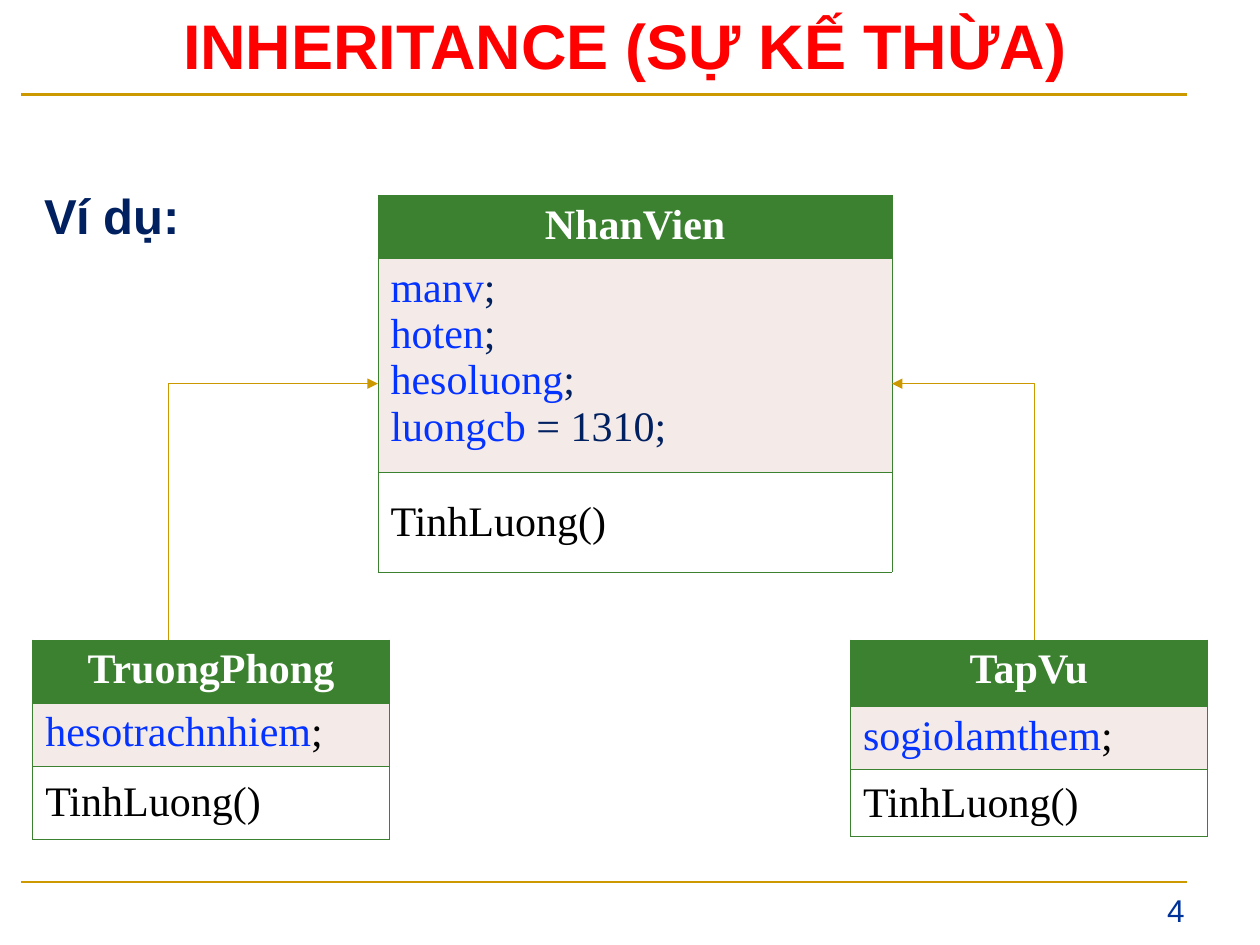
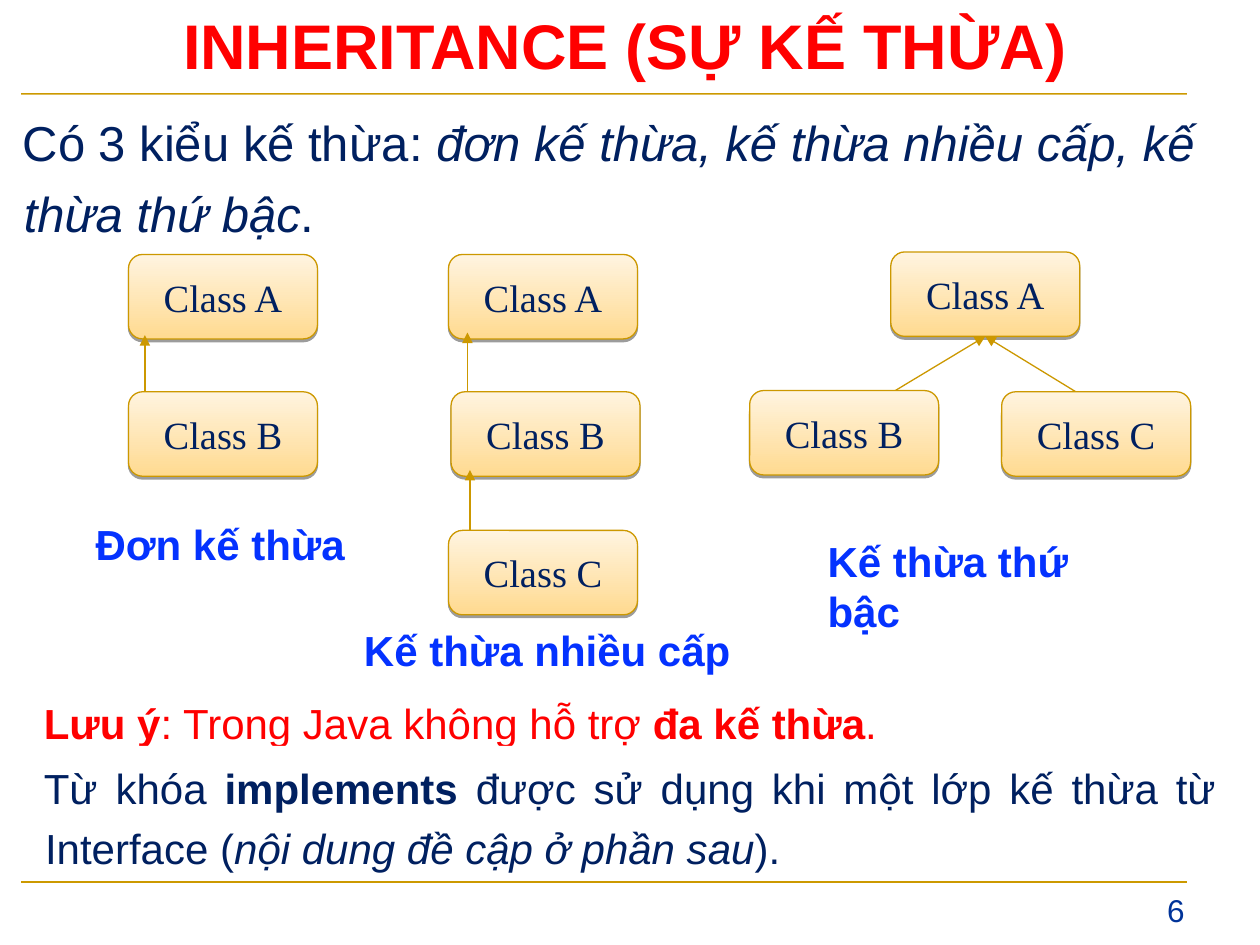
from lxml import etree
from pptx import Presentation
from pptx.dml.color import RGBColor
from pptx.enum.shapes import MSO_CONNECTOR, MSO_SHAPE
from pptx.enum.text import MSO_ANCHOR, MSO_AUTO_SIZE, PP_ALIGN
from pptx.oxml.ns import qn
from pptx.util import Inches, Pt

STRAIGHT, ELBOW = MSO_CONNECTOR.STRAIGHT, MSO_CONNECTOR.ELBOW
ROUNDED = MSO_SHAPE.ROUNDED_RECTANGLE
TOP, MIDDLE = MSO_ANCHOR.TOP, MSO_ANCHOR.MIDDLE
NO_FIT = MSO_AUTO_SIZE.NONE
LEFT, CENTER, RIGHT, JUSTIFY = (PP_ALIGN.LEFT, PP_ALIGN.CENTER,
                                PP_ALIGN.RIGHT, PP_ALIGN.JUSTIFY)

WHITE = RGBColor(0xFF, 0xFF, 0xFF)
BLACK = RGBColor(0, 0, 0)
RED = RGBColor(0xFF, 0, 0)
NAVY = RGBColor(0x00, 0x20, 0x60)
BLUE = RGBColor(0x04, 0x32, 0xFF)
NUMBER_BLUE = RGBColor(0x00, 0x33, 0x99)
BAND_GOLD = RGBColor(0xCC, 0x99, 0x00)
GOLD = RGBColor(0xCC, 0x98, 0x00)
BOX_DARK = RGBColor(0xFF, 0xDA, 0x90)
BOX_LIGHT = RGBColor(0xFF, 0xF4, 0xE0)
GREEN = RGBColor(0x3B, 0x81, 0x2F)
PINK = RGBColor(0xF4, 0xEA, 0xE8)

SANS, SERIF = "Arial", "Times New Roman"
TITLE = "INHERITANCE (SỰ KẾ THỪA)"
BOX_W, BOX_H = 1.5, 0.67


def sub(parent, tag, **attrs):
    """Append a child element and return it."""
    return etree.SubElement(parent, qn(tag), attrs)


def inches(*values):
    return [Inches(v) for v in values]


class Deck:
    def __init__(self):
        self.prs = Presentation()
        self.prs.slide_width, self.prs.slide_height = inches(10, 7.5)
        self.slide = None

    def new_slide(self, number):
        self.slide = self.prs.slides.add_slide(self.prs.slide_layouts[1])
        self.line((0.17, 7), (9.42, 7), BAND_GOLD, 1.5)
        self.line((0.17, 0.75), (9.42, 0.75), BAND_GOLD, 2.25)
        self.text((7.67, 7.02, 1.83, 0.4), [(str(number), NUMBER_BLUE)],
                  18, align=RIGHT)
        tf = self.placeholder(0, (0, 0, 9.92, 0.7)).text_frame
        self.add_runs(tf.paragraphs[0], [(TITLE, RED)], 36, bold=True, align=CENTER)

    def placeholder(self, idx, box):
        """Place a template placeholder in front of what is drawn so far."""
        sp = self.slide.placeholders[idx]
        sp.left, sp.top, sp.width, sp.height = inches(*box)
        self.slide.shapes._spTree.append(sp._element)
        sp.text_frame.vertical_anchor = TOP
        sp.text_frame.auto_size = NO_FIT
        return sp

    def add_runs(self, p, runs, size, font=SANS, bold=None, align=LEFT,
                 indent=None, after=0):
        """Fill a paragraph with (text, colour[, "b" or "i"]) runs."""
        p.alignment = align
        p.space_before, p.space_after = Pt(0), Pt(after)
        if indent is not None:
            p.line_spacing = 1.2
            pPr = p._p.get_or_add_pPr()
            pPr.set("marL", str(Inches(indent)))
            pPr.set("indent", str(-Inches(indent)))
            sub(pPr, "a:buNone")
        p.font.name, p.font.size, p.font.bold = font, Pt(size), bold
        for text, color, *marks in runs:
            r = p.add_run()
            r.text = text
            r.font.color.rgb = color
            if "b" in marks:
                r.font.bold = True
            if "i" in marks:
                r.font.italic = True

    def body(self, box, runs, **style):
        sp = self.placeholder(1, box)
        sp.fill.solid()
        sp.fill.fore_color.rgb = WHITE
        self.add_runs(sp.text_frame.paragraphs[0], runs, 28, align=JUSTIFY, **style)

    def text(self, box, runs, size, wrap=True, fill=None, **style):
        sp = self.slide.shapes.add_textbox(*inches(*box))
        sp.text_frame.word_wrap = wrap
        if fill is not None:
            sp.fill.solid()
            sp.fill.fore_color.rgb = fill
        self.add_runs(sp.text_frame.paragraphs[0], runs, size, **style)

    def caption(self, left, top, width, words):
        self.text((left, top, width, 0.5), [(words, BLUE)], 24,
                  wrap=False, bold=True)

    def line(self, start, end, color=GOLD, width=0.75, kind=STRAIGHT, arrow=None):
        """Draw a connector; arrow is "a:headEnd" (start) or "a:tailEnd" (end)."""
        cx = self.slide.shapes.add_connector(kind, *inches(*start, *end))
        cx.line.color.rgb = color
        cx.line.width = Pt(width)
        spPr = cx._element.spPr
        if kind == ELBOW:
            spPr.find(qn("a:prstGeom")).set("prst", "bentConnector2")
        if arrow:
            sub(spPr.find(qn("a:ln")), arrow, type="triangle")
        sub(spPr, "a:effectLst")
        return cx

    def arrow(self, start, end):
        return self.line(start, end, arrow="a:tailEnd")

    def class_box(self, left, top, letter):
        sp = self.slide.shapes.add_shape(
            ROUNDED, *inches(left, top, BOX_W, BOX_H))
        sp.fill.gradient()
        sp.fill.gradient_angle = 90
        stops = zip(sp.fill.gradient_stops, (BOX_DARK, BOX_LIGHT), (0, 1))
        for stop, color, position in stops:
            stop.color.rgb = color
            stop.position = position
        sp.line.color.rgb = GOLD
        sp.line.width = Pt(0.75)
        sp.shadow.inherit = False
        effects = sp._element.spPr.find(qn("a:effectLst"))
        shadow = sub(effects, "a:outerShdw", blurRad="0", dist=str(Pt(1.6)),
                     dir="5400000", rotWithShape="0")
        sub(sub(shadow, "a:srgbClr", val="000000"), "a:alpha", val="38000")
        sp.text_frame.vertical_anchor = MIDDLE
        self.add_runs(sp.text_frame.paragraphs[0], [(f"Class {letter}", NAVY)],
                      22, SERIF, align=CENTER)
        return sp

    def class_table(self, left, top, width, heights, name, fields, ink=BLACK):
        """Draw a class as name, fields and method; fields are (name, rest)."""
        frame = self.slide.shapes.add_table(
            3, 1, *inches(left, top, width, sum(heights)))
        table = frame.table
        table.first_row = table.horz_banding = False
        rows = [([[(name, WHITE)]], GREEN),
                ([[(field, BLUE), (rest, ink)] for field, rest in fields], PINK),
                ([[("TinhLuong()", BLACK)]], WHITE)]
        for i, (lines, fill) in enumerate(rows):
            table.rows[i].height = Inches(heights[i])
            cell = table.cell(i, 0)
            self.borders(cell)
            cell.fill.solid()
            cell.fill.fore_color.rgb = fill
            cell.vertical_anchor = MIDDLE if i == 2 else TOP
            tf = cell.text_frame
            for j, runs in enumerate(lines):
                p = tf.add_paragraph() if j else tf.paragraphs[0]
                self.add_runs(p, runs, 24, SERIF, bold=i == 0,
                              align=LEFT if i else CENTER)

    def borders(self, cell):
        tcPr = cell._tc.get_or_add_tcPr()
        for side in "LRTB":
            ln = sub(tcPr, f"a:ln{side}", w=str(Pt(0.45)))
            sub(sub(ln, "a:solidFill"), "a:srgbClr", val=str(GREEN))


def example_slide(deck):
    deck.new_slide(4)
    deck.body((0.25, 1.33, 9.5, 0.66), [("Ví dụ:", NAVY)],
              bold=True, indent=0.38, after=12)
    left, top, width, heights = 3, 1.55, 4.08, (0.5, 1.7, 0.79)
    deck.class_table(left, top, width, heights, "NhanVien",
                     [("manv", ";"), ("hoten", ";"), ("hesoluong", ";"),
                      ("luongcb", " = 1310;")], NAVY)
    middle = top + sum(heights) / 2
    child_top = 5.08
    children = [
        (0.26, (0.5, 0.5, 0.58), "TruongPhong", "hesotrachnhiem", left, 1.34),
        (6.75, (0.53, 0.5, 0.53), "TapVu", "sogiolamthem", left + width, 8.21),
    ]
    for x, rows, name, field, parent_x, child_x in children:
        deck.class_table(x, child_top, 2.83, rows, name, [(field, ";")])
        deck.line((parent_x, middle), (child_x, child_top),
                  kind=ELBOW, arrow="a:headEnd")


def kinds_slide(deck):
    deck.new_slide(6)
    deck.body((0.08, 0.75, 9.5, 1.22),
              [("Có 3 kiểu kế thừa: ", NAVY),
               ("đơn kế thừa, kế thừa nhiều cấp, kế thừa thứ bậc", NAVY, "i"),
               (".", NAVY)], indent=0.01)

    deck.class_box(1.02, 2.02, "A")
    deck.arrow((1.15, 3.33), (1.15, 2.66))
    deck.class_box(1.02, 3.11, "B")
    deck.caption(0.66, 4.07, 2.18, "Đơn kế thừa")

    deck.class_box(3.56, 2.02, "A")
    deck.arrow((3.71, 3.31), (3.71, 2.64))
    deck.class_box(3.58, 3.11, "B")
    deck.arrow((3.73, 4.4), (3.73, 3.73))
    deck.class_box(3.56, 4.21, "C")
    deck.caption(2.79, 4.91, 3.11, "Kế thừa nhiều cấp")

    parent = deck.class_box(7.07, 2, "A")
    for start, left, top, letter in [((6.74, 3.32), 5.95, 3.1, "B"),
                                     ((9.16, 3.49), 7.95, 3.11, "C")]:
        deck.arrow(start, (7.82, 2.67)).end_connect(parent, 2)
        deck.class_box(left, top, letter)
    deck.caption(6.47, 4.2, 2.77, "Kế thừa thứ bậc")

    deck.text((0.25, 5.41, 7.7, 0.58),
              [("Lưu ý", RED, "b"), (": Trong Java không hỗ trợ ", RED),
               ("đa kế thừa", RED, "b"), (".", RED)],
              24, align=JUSTIFY, indent=0.01)
    deck.text((0.25, 5.92, 9.5, 1.06),
              [("Từ khóa ", NAVY), ("implements", NAVY, "b"),
               (" được sử dụng khi một lớp kế thừa từ Interface (", NAVY),
               ("nội dung đề cập ở phần sau", NAVY, "i"), (").", NAVY)],
              24, fill=WHITE, align=JUSTIFY, indent=0.01)


def main():
    deck = Deck()
    example_slide(deck)
    kinds_slide(deck)
    deck.prs.save("out.pptx")


if __name__ == "__main__":
    main()
